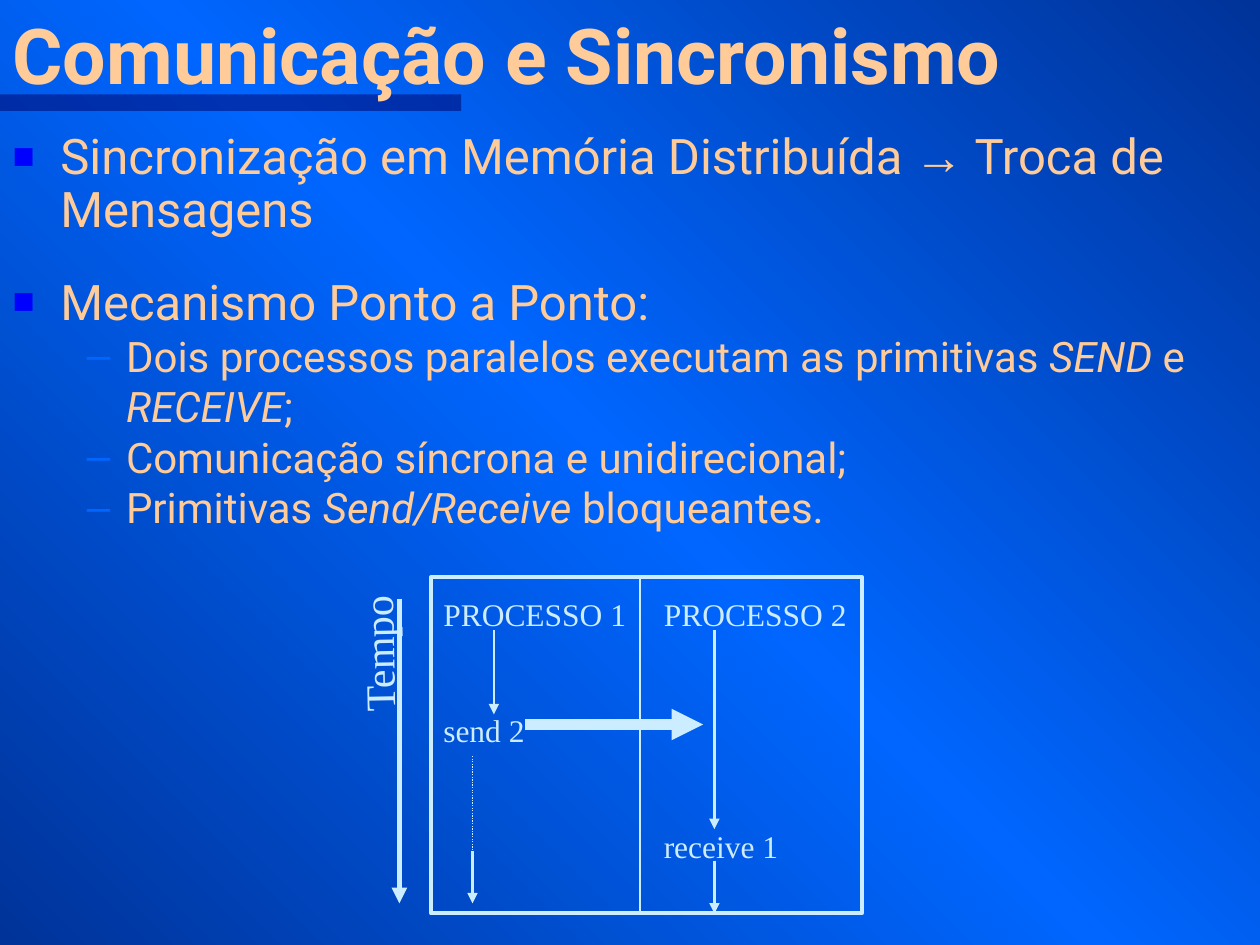
import copy

import pptx
import pptx.dml.color
import pptx.enum.dml
import pptx.enum.shapes
import pptx.enum.text
import pptx.oxml
import pptx.oxml.ns
import pptx.util
from pptx.util import Inches

PEACH, ICE = "FFCC99", "CCECFF"
BULLETS = {
    0: {"char": "■", "color": "0000FF", "percent": 75, "margin": 0.38, "indent": -0.38},
    1: {"char": "–", "color": "0066FF", "percent": 100, "margin": 0.9, "indent": -0.31},
}


def rgb(hex_string):
    return pptx.dml.color.RGBColor.from_string(hex_string)


def apply(target, values):
    """Set each attribute of target named in a dict."""
    for name, value in values.items():
        setattr(target, name, value)


def add_xml(parent, tag, **attributes):
    child = pptx.oxml.parse_xml(f"<a:{tag} {pptx.oxml.ns.nsdecls('a')}/>")
    for name, value in attributes.items():
        child.set(name, str(value))
    parent.append(child)
    return child


class SlideBuilder:
    def __init__(self, slide):
        self.slide = slide
        self.heading_font = "Roboto"
        self.diagram_font = "Times New Roman"

    def background(self, colors, angle):
        fill = self.slide.background.fill
        fill.gradient()
        stops = self.slide.element.find(".//" + pptx.oxml.ns.qn("a:gsLst"))
        stops.append(copy.deepcopy(stops[0]))
        for index, (stop, color) in enumerate(zip(fill.gradient_stops, colors)):
            stop.color.rgb = rgb(color)
            stop.position = index / (len(colors) - 1)
        fill.gradient_angle = angle

    def box(self, left, top, width, height):
        shape = self.slide.shapes.add_shape(
            pptx.enum.shapes.MSO_SHAPE.RECTANGLE,
            Inches(left), Inches(top), Inches(width), Inches(height))
        shape.shadow.inherit = False
        return shape

    def underline_bar(self, *place):
        """Half-transparent bar behind everything else."""
        bar = self.box(*place)
        bar.fill.solid()
        bar.fill.fore_color.rgb = rgb("000066")
        color = bar.element.spPr.find(".//" + pptx.oxml.ns.qn("a:srgbClr"))
        add_xml(color, "alpha", val=50000)
        bar.line.fill.background()
        self.slide.shapes.element.insert(2, bar.element)

    def frame(self, *place):
        frame = self.box(*place)
        frame.fill.background()
        frame.line.color.rgb = rgb(ICE)
        frame.line.width = pptx.util.Pt(2.25)

    def line(self, start, end, width, arrow=True, dash=None):
        line = self.slide.shapes.add_connector(
            pptx.enum.shapes.MSO_CONNECTOR.STRAIGHT,
            *(Inches(value) for value in start + end))
        line.line.color.rgb = rgb(ICE)
        line.line.width = pptx.util.Pt(width)
        if dash:
            line.line.dash_style = dash
        if arrow:
            add_xml(line.line._get_or_add_ln(), "tailEnd", type="triangle")
        add_xml(line.element.spPr, "effectLst")

    def run(self, paragraph, text, size, font, color, **style):
        run = paragraph.add_run()
        run.text = text
        apply(run.font, {"size": pptx.util.Pt(size), "name": font, **style})
        run.font.color.rgb = rgb(color)

    def placeholder(self, holder, left, top, width, height, anchor):
        apply(holder, {"left": Inches(left), "top": Inches(top),
                       "width": Inches(width), "height": Inches(height)})
        apply(holder.text_frame, {
            "word_wrap": True, "vertical_anchor": anchor,
            "auto_size": pptx.enum.text.MSO_AUTO_SIZE.NONE})
        return holder.text_frame

    def title(self, text, *place):
        frame = self.placeholder(self.slide.shapes.title, *place,
                                 pptx.enum.text.MSO_ANCHOR.BOTTOM)
        heading = frame.paragraphs[0]
        heading.alignment = pptx.enum.text.PP_ALIGN.LEFT
        self.run(heading, text, 44, self.heading_font, PEACH, bold=True)

    def body(self, items, *place):
        """Each item is (level, space before, line spacing, runs)."""
        frame = self.placeholder(self.slide.placeholders[1], *place,
                                 pptx.enum.text.MSO_ANCHOR.TOP)
        for index, (level, before, spacing, pieces) in enumerate(items):
            item = frame.add_paragraph() if index else frame.paragraphs[0]
            apply(item, {"level": level, "line_spacing": spacing,
                         "space_before": pptx.util.Pt(before)})
            self.bullet(item, **BULLETS[level])
            for text, style in pieces:
                self.run(item, text, 24 if level else 28,
                         **{"font": self.heading_font, "color": PEACH, **style})

    def bullet(self, item, char, color, percent, margin, indent):
        properties = item._p.get_or_add_pPr()
        properties.set("marL", str(Inches(margin)))
        properties.set("indent", str(Inches(indent)))
        add_xml(add_xml(properties, "buClr"), "srgbClr", val=color)
        add_xml(properties, "buSzPct", val=percent * 1000)
        add_xml(properties, "buFont", typeface="Arial")
        add_xml(properties, "buChar", char=char)

    def label(self, lines, left, top, width, height, size, rotation=0):
        """Each line is (text, space before in points)."""
        label = self.slide.shapes.add_textbox(
            Inches(left), Inches(top), Inches(width), Inches(height))
        label.rotation = rotation
        frame = label.text_frame
        frame.word_wrap = True
        for index, (text, before) in enumerate(lines):
            paragraph = frame.add_paragraph() if index else frame.paragraphs[0]
            if before:
                paragraph.space_before = pptx.util.Pt(before)
            self.run(paragraph, text, size, self.diagram_font, ICE)


def main():
    deck = pptx.Presentation()
    deck.slide_width, deck.slide_height = Inches(10), Inches(7.5)
    builder = SlideBuilder(deck.slides.add_slide(deck.slide_layouts[1]))

    builder.background(["003399", "0066FF", "003399"], 225)
    builder.underline_bar(0, 0.75, 3.66, 0.13)
    builder.title("Comunicação e Sincronismo", 0, -0.08, 10, 0.92)

    plain, italic = {}, {"italic": True}
    builder.body([
        (0, 0, 0.9, [("Sincronização em Memória Distribuída ", plain),
                     ("→", {"font": "Arial"}), (" Troca de Mensagens", plain)]),
        (0, 19, 1.0, [("Mecanismo Ponto a Ponto:", plain)]),
        (1, 0, 1.0, [("Dois processos paralelos executam as primitivas ", plain),
                     ("SEND", italic), (" e ", plain),
                     ("RECEIVE", italic), (";", plain)]),
        (1, 0, 1.0, [("Comunicação síncrona e unidirecional;", plain)]),
        (1, 0, 1.0, [("Primitivas ", plain), ("Send/Receive", italic),
                     (" bloqueantes.", plain)]),
    ], 0, 1, 10, 3.67)

    top, bottom, divider = 4.58, 7.25, 5.08
    builder.frame(3.42, top, 3.42, bottom - top)
    builder.line((divider, top), (divider, bottom), 0.75, arrow=False)
    builder.label([("PROCESSO 1", 0), ("send 2", 45)], 3.42, 4.67, 1.67, 1.32, 18)
    builder.label([("PROCESSO 2", 0), ("receive 1", 111)], 5.17, 4.67, 1.67, 2.23, 18)

    process_1, waiting, process_2, time_axis = 3.92, 3.75, 5.67, 3.17
    builder.line((process_2, 5), (process_2, 6.58), 1.5)
    builder.line((process_1, 5), (process_1, 5.67), 1.5)
    builder.line((4.17, 5.75), (5.58, 5.75), 6)
    builder.line((waiting, 6), (waiting, 6.83), 0.75, arrow=False,
                 dash=pptx.enum.dml.MSO_LINE.ROUND_DOT)
    builder.line((waiting, 6.75), (waiting, 7.17), 1.5)
    builder.line((process_2, 6.83), (process_2, bottom), 1.5)
    builder.line((time_axis, 4.75), (time_axis, 7.17), 3)
    builder.label([("Tempo", 0)], 2.37, 4.87, 1.25, 0.5, 24, rotation=268.9)

    deck.save("out.pptx")


if __name__ == "__main__":
    main()
